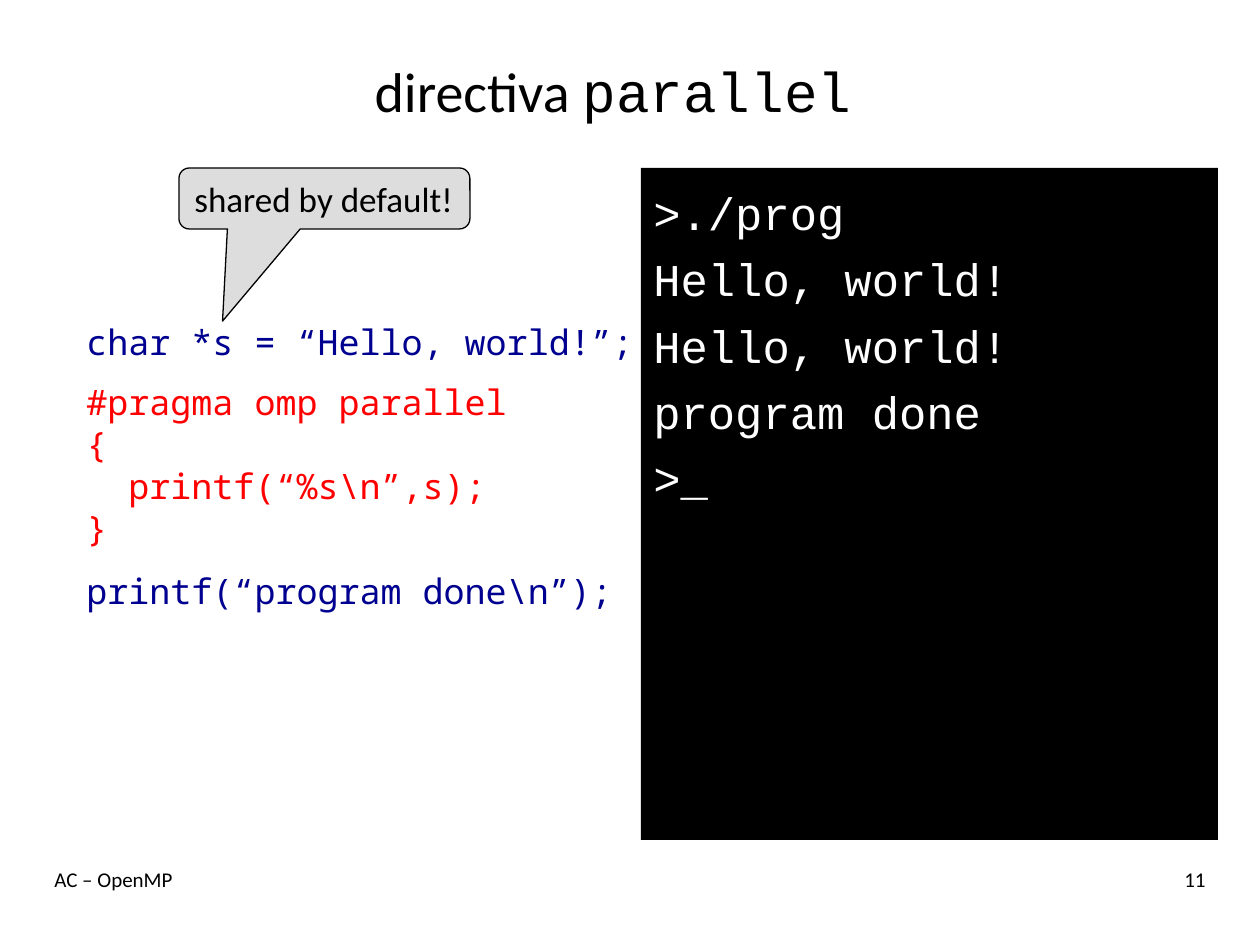
import pptx
import pptx.util
import pptx.dml.color
import pptx.enum.shapes
import pptx.enum.text

ALIGN = pptx.enum.text.PP_ALIGN
ANCHOR = pptx.enum.text.MSO_ANCHOR
SHAPE = pptx.enum.shapes.MSO_SHAPE
PX = 914400 // 126

COLORS = {"black": "000000", "white": "FFFFFF", "grey": "DDDDDD",
          "navy": "000090", "red": "FF0000"}
SANS, TERMINAL, CODE = "Calibri", "Courier New", "Noto Sans Mono"

# Content: each paragraph is a list of (text, overrides) runs
TITLE = [[("directiva ", {}), ("parallel ", {"font": TERMINAL})]]
OUTPUT = [">./prog", "Hello, world!", "Hello, world!", "program done", ">_"]
RED = {"color": "red"}
PROGRAM = [
    [("char *s = “Hello, world!”;", {})],
    [("#pragma omp parallel", RED)],
    [("{", RED)],
    [("  printf(“%s\\n”,s);", RED)],
    [("}", RED)],
    [("printf(“program done\\n”);", {})],
]
FOOTERS = [("AC – OpenMP", (42, 861, 882, 63), ALIGN.LEFT),
           ("11", (1050, 861, 168, 63), ALIGN.RIGHT)]


def emu(*lengths):
    return [pptx.util.Emu(length * PX) for length in lengths]


def rgb(name):
    return pptx.dml.color.RGBColor.from_string(COLORS[name])


def write(shape, paragraphs, font=SANS, size=20, color="black",
          align=ALIGN.LEFT, anchor=ANCHOR.TOP, wrap=True, gaps=None, top=6):
    """Fill a shape with text; gaps maps paragraph index to points before it."""
    frame = shape.text_frame
    frame.word_wrap = wrap
    frame.vertical_anchor = anchor
    frame.margin_top = emu(top)[0]
    for index, runs in enumerate(paragraphs):
        paragraph = frame.paragraphs[0] if index == 0 else frame.add_paragraph()
        paragraph.alignment = align
        if gaps and index in gaps:
            paragraph.space_before = pptx.util.Pt(gaps[index])
        for text, override in [(runs, {})] if isinstance(runs, str) else runs:
            run = paragraph.add_run()
            run.text = text
            run.font.name = override.get("font", font)
            run.font.size = pptx.util.Pt(size)
            run.font.color.rgb = rgb(override.get("color", color))


def filled(slide, kind, box, fill):
    shape = slide.shapes.add_shape(kind, *emu(*box))
    shape.shadow.inherit = False
    shape.fill.solid()
    shape.fill.fore_color.rgb = rgb(fill)
    return shape


def main():
    deck = pptx.Presentation()
    deck.slide_width, deck.slide_height = emu(1260, 945)
    slide = deck.slides.add_slide(deck.slide_layouts[6])

    # Title
    title = slide.shapes.add_textbox(*emu(42, 32, 1176, 116))
    write(title, TITLE, size=32, align=ALIGN.CENTER, anchor=ANCHOR.MIDDLE)

    # Terminal output
    terminal = filled(slide, SHAPE.RECTANGLE, (641, 168, 577, 672), "black")
    terminal.line.fill.background()
    write(terminal, OUTPUT, font=TERMINAL, size=26, color="white", top=17,
          gaps={index: 6.7 for index in range(1, len(OUTPUT))})

    # Footer and slide number
    for text, box, align in FOOTERS:
        write(slide.shapes.add_textbox(*emu(*box)), [text], size=12, align=align)

    # Source code
    program = slide.shapes.add_textbox(*emu(74, 315, 580, 382))
    write(program, PROGRAM, font=CODE, color="navy", wrap=False,
          gaps={1: 10, 5: 12})

    # Callout pointing at the shared variable
    callout = filled(slide, SHAPE.ROUNDED_RECTANGULAR_CALLOUT,
                     (179, 168, 291, 61), "grey")
    for index, value in enumerate((-0.35, 2.01, 0.17)):
        callout.adjustments[index] = value
    callout.line.color.rgb = rgb("black")
    callout.line.width = pptx.util.Pt(0.75)
    write(callout, ["shared by default!"], wrap=False)

    deck.save("out.pptx")


if __name__ == "__main__":
    main()
